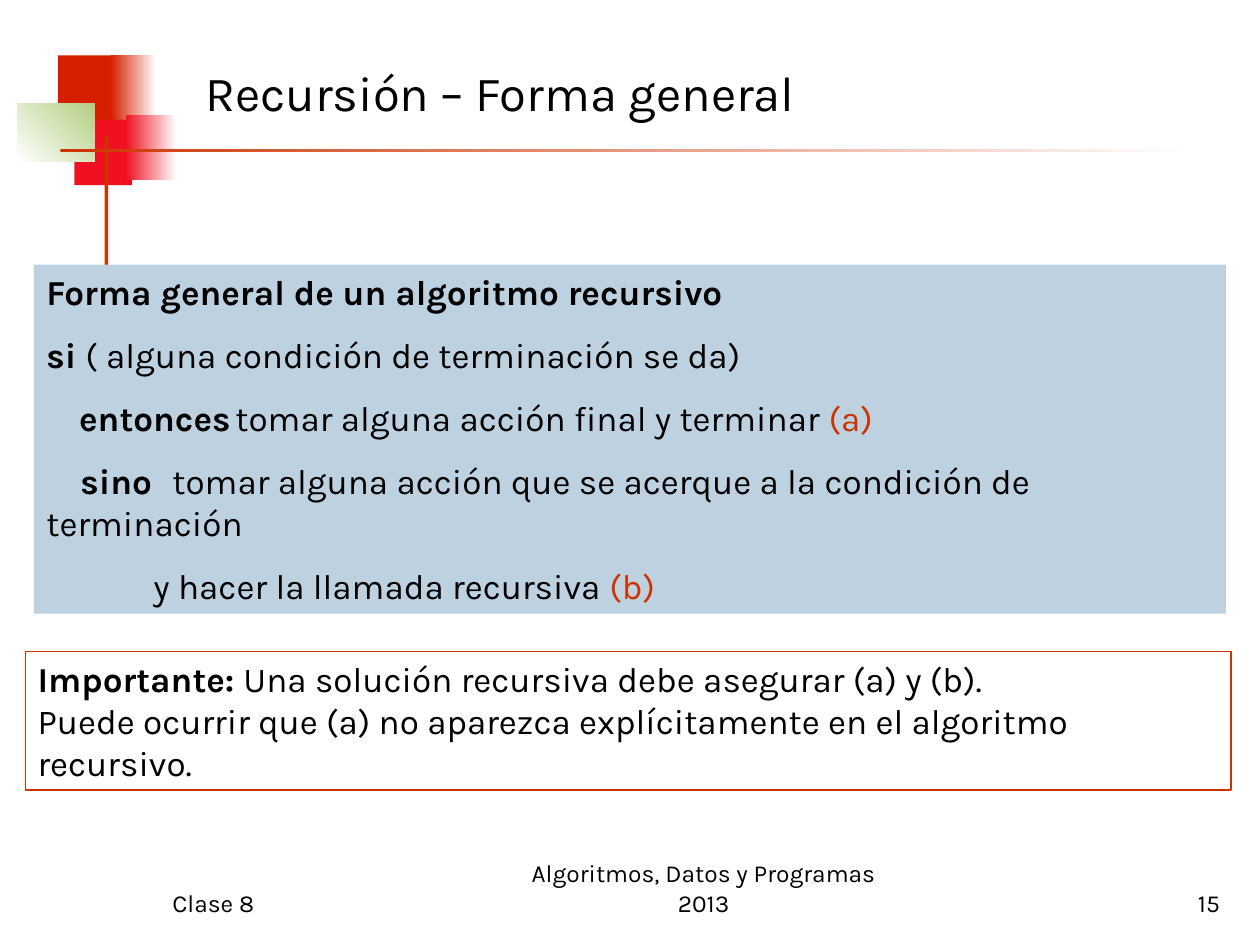
import pptx
import pptx.util
import pptx.dml.color
import pptx.enum.shapes
import pptx.enum.text
import lxml.etree

Inches = pptx.util.Inches
Color = pptx.dml.color.RGBColor
Align = pptx.enum.text.PP_ALIGN
Anchor = pptx.enum.text.MSO_ANCHOR

BLACK = Color(0x00, 0x00, 0x00)
WHITE = Color(0xFF, 0xFF, 0xFF)
BRICK = Color(0xD6, 0x1F, 0x00)
RED = Color(0xEF, 0x11, 0x21)
GREEN = Color(0xB3, 0xCE, 0x82)
RUST = Color(0xCC, 0x33, 0x00)
BLUE = Color(0xBE, 0xD1, 0xE0)
FONT = "Karla"


def add_rect(slide, box, fill=None, fade=None, angle=0, line=None):
    """Add a rectangle with a plain fill, a fade or an outline."""
    shape = slide.shapes.add_shape(
        pptx.enum.shapes.MSO_SHAPE.RECTANGLE, *map(Inches, box))
    shape.shadow.inherit = False
    if fade is not None:
        shape.fill.gradient()
        shape.fill.gradient_angle = angle
        for stop, color in zip(shape.fill.gradient_stops, (fill, fade)):
            stop.color.rgb = color
    elif fill is not None:
        shape.fill.solid()
        shape.fill.fore_color.rgb = fill
    else:
        shape.fill.background()
    if line is not None:
        shape.line.color.rgb = line
        shape.line.width = pptx.util.Pt(0.75)
    else:
        shape.line.fill.background()
    return shape


def set_tab(para, stop):
    """Give a paragraph one left tab stop."""
    props = para._p.get_or_add_pPr()
    tabs = lxml.etree.SubElement(props, pptx.oxml.ns.qn("a:tabLst"))
    lxml.etree.SubElement(tabs, pptx.oxml.ns.qn("a:tab"),
                          pos=str(Inches(stop)), algn="l")


def write(shape, lines, size, align=Align.LEFT, anchor=Anchor.TOP, gap=0):
    """Write lines of (indent, tab, runs) into a shape."""
    frame = shape.text_frame
    frame.word_wrap = True
    frame.vertical_anchor = anchor
    for index, (indent, tab, runs) in enumerate(lines):
        para = frame.paragraphs[0] if index == 0 else frame.add_paragraph()
        if tab:
            set_tab(para, tab)
        para.alignment = align
        if index and gap:
            para.space_before = pptx.util.Pt(gap)
        if indent:
            para._p.get_or_add_pPr().set("indent", str(Inches(indent)))
        for text, bold, color in runs:
            run = para.add_run()
            run.text = text
            run.font.name = FONT
            run.font.size = pptx.util.Pt(size)
            run.font.bold = bold
            run.font.color.rgb = color


def add_label(slide, box, text, size, align, anchor):
    """Add a text box with a single black run."""
    shape = slide.shapes.add_textbox(*map(Inches, box))
    write(shape, [(0, 0, [(text, False, BLACK)])], size, align, anchor)


def add_motif(slide, left, top):
    """Draw the coloured squares and the two rules."""
    parts = [
        (0.32, 0, 0.48, 0.52, BRICK, None, 0),
        (0.74, 0, 0.36, 0.52, BRICK, WHITE, 0),
        (0.45, 0.51, 0.46, 0.52, RED, None, 0),
        (0.86, 0.47, 0.4, 0.52, RED, WHITE, 0),
        (0, 0.38, 0.61, 0.46, WHITE, GREEN, 45),
        (0.69, 0.64, 0.03, 1.15, RUST, None, 0),
        (0.34, 0.74, 9, 0.03, RUST, WHITE, 0),
    ]
    for x, y, width, height, fill, fade, angle in parts:
        add_rect(slide, (left + x, top + y, width, height), fill, fade, angle)


def add_scheme(slide, box):
    """Add the panel with the general recursive scheme."""
    lines = [
        (0, 0, [("Forma general de un algoritmo recursivo", True, BLACK)]),
        (0, 0, [("si ", True, BLACK),
                ("( alguna condición de terminación se da)", False, BLACK)]),
        (0.26, 1.6, [("entonces", True, BLACK),
                     ("\ttomar alguna acción final y terminar", False, BLACK),
                     (" (a)", False, RUST)]),
        (0.27, 0.99, [("sino", True, BLACK),
                      ("\ttomar alguna acción que se acerque a la condición "
                       "de terminación", False, BLACK)]),
        (0.85, 0, [("y hacer la llamada recursiva ", False, BLACK),
                   ("(b)", False, RUST)]),
    ]
    write(add_rect(slide, box, BLUE), lines, 20, gap=12)


def add_note(slide, box):
    """Add the outlined note."""
    lines = [
        (0, 0, [("Importante: ", True, BLACK),
                ("Una solución recursiva debe asegurar (a) y (b).",
                 False, BLACK)]),
        (0, 0, [("Puede ocurrir que (a) no aparezca explícitamente en el "
                 "algoritmo recursivo.", False, BLACK)]),
    ]
    write(add_rect(slide, box, line=RUST), lines, 20)


def add_footer(slide, top, height):
    """Add the three footer labels."""
    labels = [
        (1.27, 2.08, "Clase 8", Align.LEFT),
        (4, 3.17, "Algoritmos, Datos y Programas 2013", Align.CENTER),
        (7.7, 2.08, "15", Align.RIGHT),
    ]
    for left, width, text, align in labels:
        add_label(slide, (left, top, width, height), text, 14, align,
                  Anchor.BOTTOM)


def main():
    """Build and save the slide."""
    deck = pptx.Presentation()
    deck.slide_width, deck.slide_height = Inches(10), Inches(7.5)
    slide = deck.slides.add_slide(deck.slide_layouts[6])
    add_motif(slide, 0.14, 0.44)
    add_scheme(slide, (0.27, 2.1, 9.46, 2.77))
    add_label(slide, (1.53, 0.31, 7.95, 0.84), "Recursión – Forma general",
              28, Align.LEFT, Anchor.MIDDLE)
    add_note(slide, (0.2, 5.17, 9.57, 1.1))
    add_footer(slide, 6.83, 0.5)
    deck.save("out.pptx")


if __name__ == "__main__":
    main()
